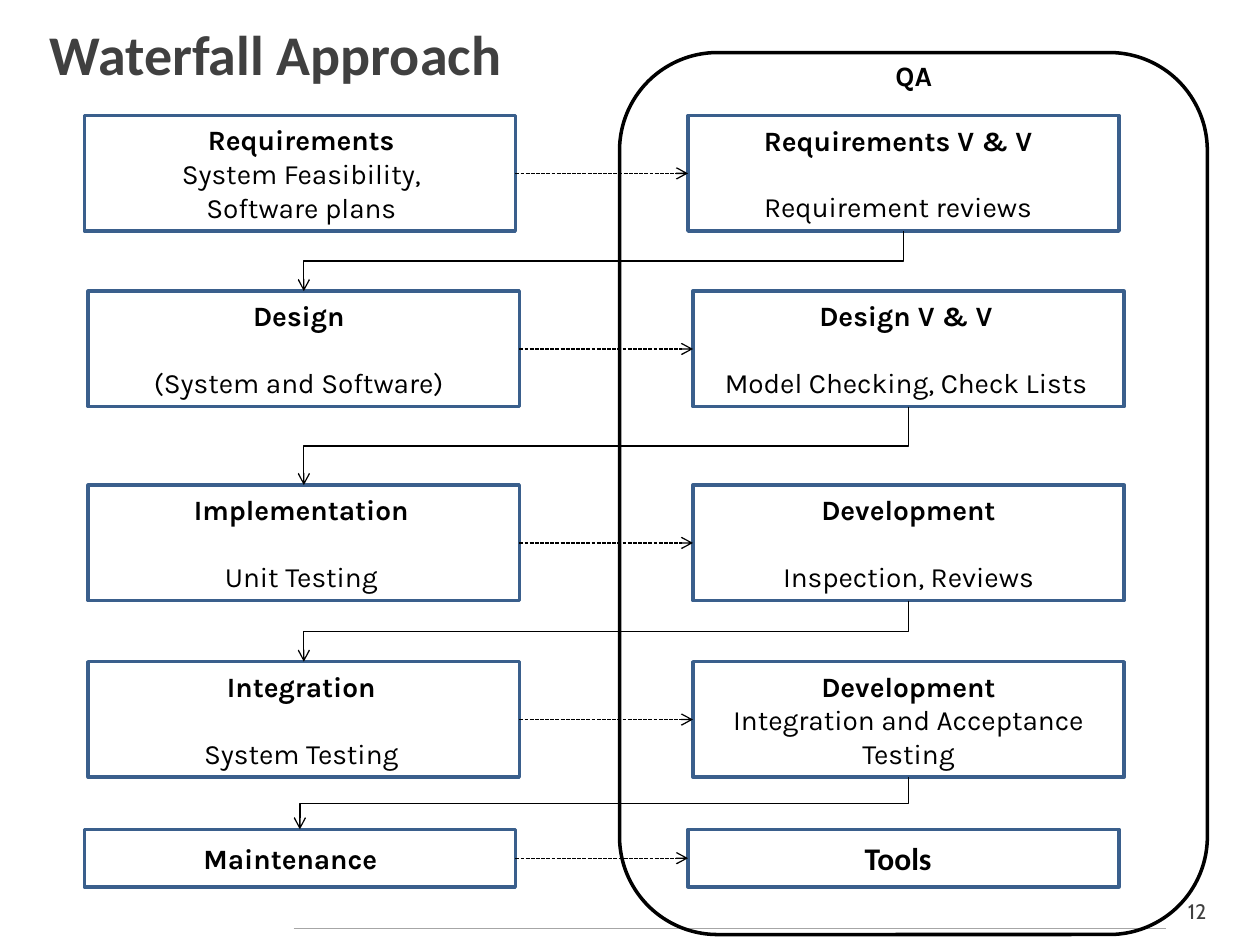
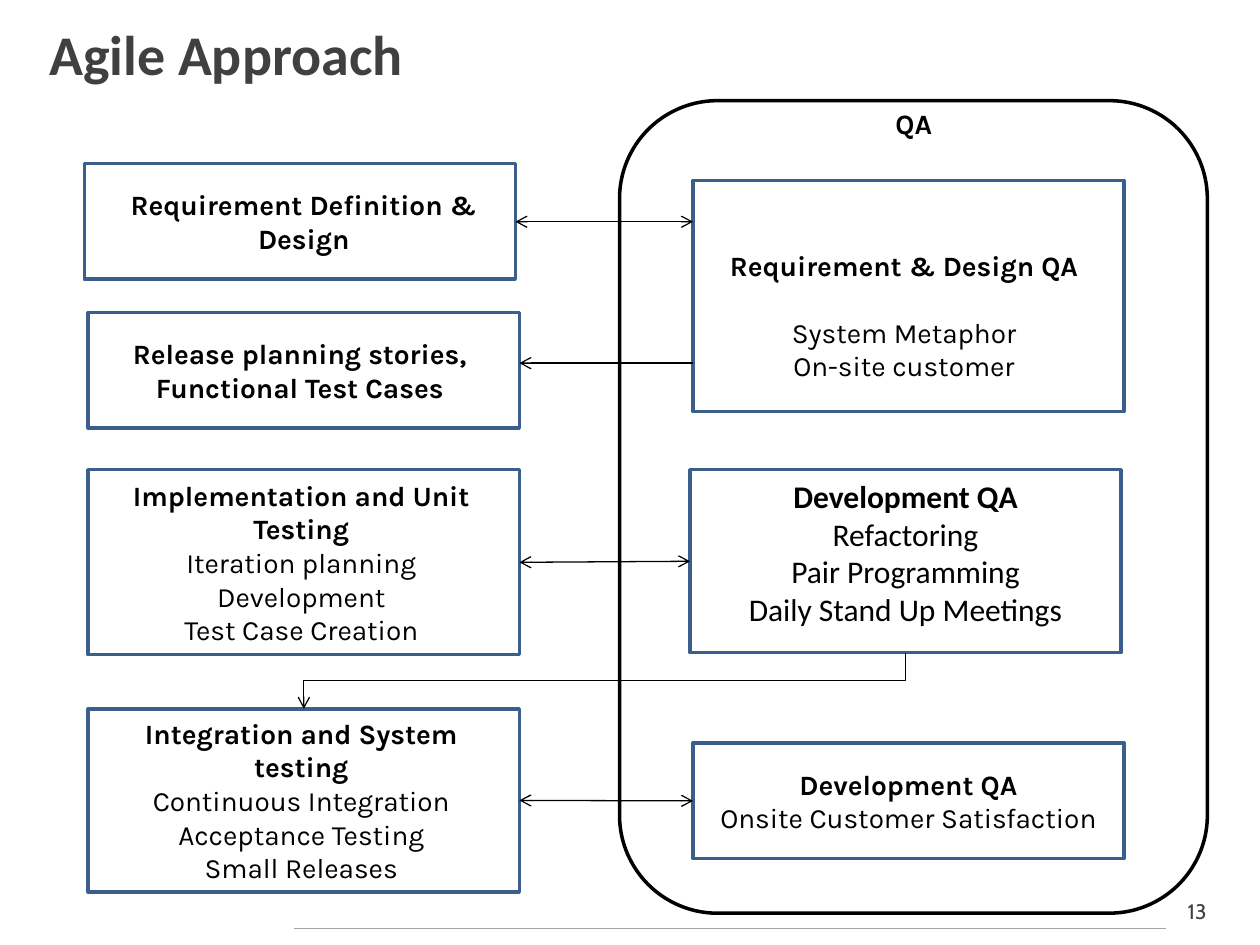
from dataclasses import dataclass

import pptx
import pptx.dml.color
import pptx.enum.dml
import pptx.enum.shapes
import pptx.enum.text
import pptx.oxml
import pptx.oxml.ns
import pptx.util

Cm, Pt = pptx.util.Cm, pptx.util.Pt
Kind = pptx.enum.shapes.MSO_SHAPE
Wire = pptx.enum.shapes.MSO_CONNECTOR
Dash = pptx.enum.dml.MSO_LINE
Align = pptx.enum.text.PP_ALIGN
Anchor = pptx.enum.text.MSO_ANCHOR
qn = pptx.oxml.ns.qn
TOP, LEFT, BOTTOM, RIGHT = range(4)  # connection sites of a rectangle


@dataclass(frozen=True)
class Theme:
    ink: str = "000000"
    grey: str = "404040"
    rule: str = "A6A6A6"
    edge: str = "3A5F8C"
    title: tuple = ("Calibri", 32)
    body: tuple = ("Karla", 16)
    alt: tuple = ("Calibri", 18)
    page: tuple = ("Cabin", 12)
    thick: float = 2
    thin: float = 0.75
    gap: float = 19  # one body line, in points


@dataclass
class Box:
    left: float
    top: float
    head: tuple
    body: tuple = ()
    high: float = 2.33
    gap: bool = False  # leave a line free between head and body
    font: tuple = Theme.body
    dx: float = 0  # shift of the text from the centre of the box
    dy: float = 0


T = Theme()
WIDE = 8.69
L1, L2 = 1.7, 1.78
R1, R2, R3 = 13.87, 13.97, 13.91
ROWS = 2.33, 5.87, 9.78, 13.34, 16.72

# Links are (left box, right box, heads, height or None for the middle).
# Turns are (right box, left box).
SLIDES = [
    {
        "title": "Waterfall Approach",
        "page": "12",
        "frame": (1.06, 17.78),
        "left": [
            Box(L1, ROWS[0], ("Requirements",),
                ("System Feasibility,", "Software plans"), dx=0.03),
            Box(L2, ROWS[1], ("Design",), ("(System and Software)",),
                gap=True, dx=-0.1),
            Box(L2, ROWS[2], ("Implementation",), ("Unit Testing",),
                gap=True, dx=-0.05),
            Box(L2, ROWS[3], ("Integration",), ("System Testing",),
                gap=True, dx=-0.05),
            Box(L1, ROWS[4], ("Maintenance",), high=1.16, dx=-0.19),
        ],
        "right": [
            Box(R1, ROWS[0], ("Requirements V & V",),
                ("Requirement reviews",), gap=True, dx=-0.11),
            Box(R2, ROWS[1], ("Design V & V",),
                ("Model Checking, Check Lists",), gap=True, dx=-0.05),
            Box(R2, ROWS[2], ("Development",), ("Inspection, Reviews",),
                gap=True),
            Box(R2, ROWS[3], ("Development",),
                ("Integration and Acceptance Testing",)),
            Box(R1, ROWS[4], ("Tools",), high=1.16, font=T.alt, dx=-0.11),
        ],
        "dash": True,
        "links": [(row, row, ("tail",), None) for row in range(5)],
        "turns": [(row, row + 1) for row in range(4)],
    },
    {
        "title": "Agile Approach",
        "page": "13",
        "frame": (2.03, 16.38),
        "left": [
            Box(L1, 3.3, ("Requirement Definition & Design",), dx=0.08),
            Box(L2, 6.3, ("Release planning stories,",
                          "Functional Test Cases"), dx=-0.08),
            Box(L2, 9.47, ("Implementation and Unit Testing",),
                ("Iteration planning", "Development", "Test Case Creation"),
                high=3.73, dx=-0.05),
            Box(L2, 14.29, ("Integration and System testing",),
                ("Continuous Integration", "Acceptance Testing",
                 "Small Releases"), high=3.69, dx=-0.05),
        ],
        "right": [
            Box(R2, 3.64, ("Requirement & Design QA",),
                ("System Metaphor", "On-site customer"),
                high=4.66, gap=True, dx=-0.09, dy=0.39),
            Box(R3, 9.47, ("Development QA",),
                ("Refactoring", "Pair Programming", "Daily Stand Up Meetings"),
                high=3.69, font=T.alt, dy=-0.18),
            Box(R2, 14.98, ("Development QA",),
                ("Onsite Customer Satisfaction",)),
        ],
        "dash": False,
        "links": [
            (0, 0, ("head", "tail"), 4.47),
            (1, 0, ("head",), 7.32),
            (2, 1, ("head", "tail"), None),
            (3, 2, ("head", "tail"), None),
        ],
        "turns": [(1, 3)],
    },
]


def rgb(code):
    return pptx.dml.color.RGBColor.from_string(code)


def style(par, face, color=T.ink, bold=False, align=Align.CENTER):
    par.alignment = align
    font = par.font
    font.name, font.size = face[0], Pt(face[1])
    font.bold, font.color.rgb = bold, rgb(color)


def outline(shape, color, width):
    shape.line.color.rgb = rgb(color)
    shape.line.width = Pt(width)


def label(slide, text, area, face, **look):
    frame = slide.shapes.add_textbox(*map(Cm, area)).text_frame
    frame.word_wrap = True
    frame.text = text
    style(frame.paragraphs[0], face, **look)


def hollow(slide, kind, area, color):
    shape = slide.shapes.add_shape(kind, *map(Cm, area))
    shape.shadow.inherit = False
    shape.fill.background()
    outline(shape, color, T.thick)
    return shape


def draw(slide, box):
    shape = hollow(slide, Kind.RECTANGLE,
                   (box.left, box.top, WIDE, box.high), T.edge)
    frame = shape.text_frame
    frame.word_wrap = True
    frame.vertical_anchor = Anchor.MIDDLE
    frame.margin_left = Cm(0.25 + max(0, 2 * box.dx))
    frame.margin_right = Cm(0.25 + max(0, -2 * box.dx))
    frame.margin_top = Cm(0.13 + max(0, 2 * box.dy))
    frame.margin_bottom = Cm(0.13 + max(0, -2 * box.dy))
    for i, text in enumerate(box.head + box.body):
        par = frame.add_paragraph() if i else frame.paragraphs[0]
        par.text = text
        style(par, box.font, bold=i < len(box.head))
        if box.gap and i == len(box.head):
            par.space_before = Pt(T.gap)
    return shape


def wire(slide, kind, ends, color=T.ink, heads=()):
    line = slide.shapes.add_connector(kind, *ends)
    outline(line, color, T.thin)
    props = line._element.spPr
    pptx.oxml.ns  # namespaces come from qn
    props.append(props.makeelement(qn("a:effectLst"), {}))
    stroke = line.line._get_or_add_ln()
    for end in heads:
        stroke.append(stroke.makeelement(qn(f"a:{end}End"), {"type": "arrow"}))
    return line


def link(slide, left, right, heads, level, dash):
    y = Cm(level) if level else left.top + left.height // 2
    line = wire(slide, Wire.STRAIGHT,
                (left.left + left.width, y, right.left, y), heads=heads)
    if dash:
        line.line.dash_style = Dash.SQUARE_DOT
    if level is None:
        line.begin_connect(left, RIGHT)
        line.end_connect(right, LEFT)


def turn(slide, right, left):
    """Lead from the bottom of one box down, across and into the next."""
    line = wire(slide, Wire.ELBOW, (0, 0, 0, 0), heads=("tail",))
    line.begin_connect(right, BOTTOM)
    line.end_connect(left, TOP)
    x1, y1 = right.left + right.width // 2, right.top + right.height
    x2, y2 = left.left + left.width // 2, left.top
    # A quarter turn swaps width and height about the middle.
    line.width, line.height = y2 - y1, x1 - x2
    line.left = (x1 + x2 - line.width) // 2
    line.top = (y1 + y2 - line.height) // 2
    form = line._element.spPr.find(qn("a:xfrm"))
    for flip in ("flipH", "flipV"):
        form.attrib.pop(flip, None)
    form.set("rot", "5400000")


def base(deck, title, page):
    slide = deck.slides.add_slide(deck.slide_layouts[5])
    name = slide.shapes.title
    name.left, name.top, name.width, name.height = map(
        Cm, (0.74, 0.28, 23.77, 1.6))
    frame = name.text_frame
    frame.text = title
    frame.auto_size = pptx.enum.text.MSO_AUTO_SIZE.NONE
    frame.vertical_anchor = Anchor.MIDDLE
    style(frame.paragraphs[0], T.title, T.grey, True, Align.LEFT)
    label(slide, page, (23.5, 17.98, 1.27, 0.76), T.page, color=T.grey)
    wire(slide, Wire.STRAIGHT, map(Cm, (5.92, 18.72, 23.5, 18.72)), T.rule)
    return slide


def build(deck, plan):
    slide = base(deck, plan["title"], plan["page"])
    top, high = plan["frame"]
    hollow(slide, Kind.ROUNDED_RECTANGLE, (12.49, top, 11.85, high), T.ink)
    label(slide, "QA", (16.94, top, 2.96, 0.93), T.body, bold=True)
    left = [draw(slide, box) for box in plan["left"]]
    right = [draw(slide, box) for box in plan["right"]]
    for a, b, heads, level in plan["links"]:
        link(slide, left[a], right[b], heads, level, plan["dash"])
    for a, b in plan["turns"]:
        turn(slide, right[a], left[b])


def main():
    deck = pptx.Presentation()
    deck.slide_width, deck.slide_height = Cm(25.4), Cm(19.05)
    for plan in SLIDES:
        build(deck, plan)
    deck.save("out.pptx")


if __name__ == "__main__":
    main()
